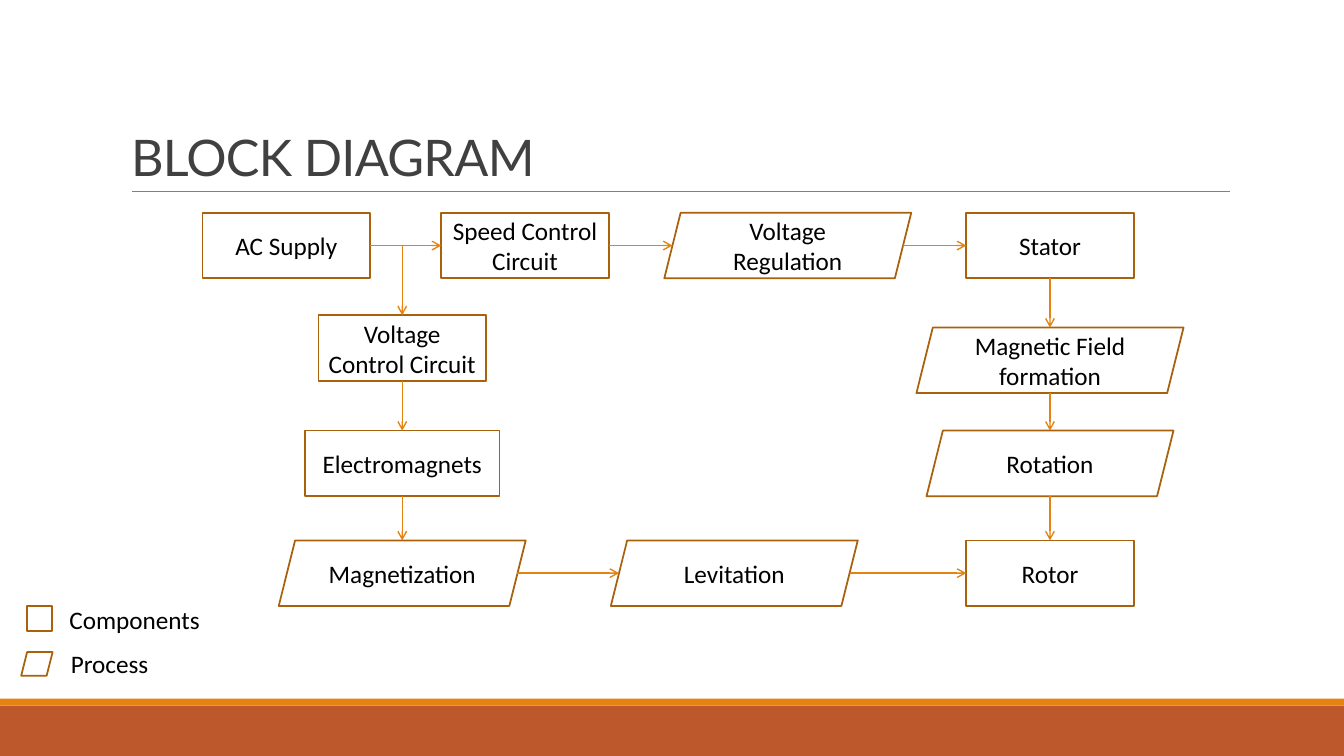
from pptx import Presentation
from pptx.dml.color import RGBColor
from pptx.enum.shapes import MSO_CONNECTOR as Conn, MSO_SHAPE as Kind
from pptx.enum.text import MSO_ANCHOR as Anchor, MSO_AUTO_SIZE as Fit, PP_ALIGN as Align
from pptx.oxml.ns import qn
from pptx.util import Pt
from lxml.etree import SubElement as sub

WHITE = RGBColor(0xFF, 0xFF, 0xFF)
BLACK = RGBColor(0, 0, 0)
DARK = RGBColor(0x40, 0x40, 0x40)
GREY = RGBColor(0x80, 0x80, 0x80)
ORANGE = RGBColor(0xE4, 0x83, 0x12)
BROWN = RGBColor(0xA9, 0x61, 0x0D)
RUST = RGBColor(0xBD, 0x58, 0x2C)

RECT, SLANT = Kind.RECTANGLE, Kind.PARALLELOGRAM
HIGH = 46.8  # height of every block
EDGE = HIGH / 8  # inset of a slanted side at mid height

# Centres of the columns and rows, inside the flow region
SUPPLY, LEFT, SPEED, LIFT, REG, RIGHT = 60.5, 143.3, 231, 380.5, 418.7, 606
TOP, VOLT, FIELD, MID, LOW = 23.4, 96.6, 105.4, 179, 257.4

BLOCKS = {
    "AC Supply": (RECT, SUPPLY, TOP, 119.6),
    "Speed Control Circuit": (RECT, SPEED, TOP, 119.6),
    "Voltage Regulation": (SLANT, REG, TOP, 176.4),
    "Stator": (RECT, RIGHT, TOP, 119.6),
    "Voltage Control Circuit": (RECT, LEFT, VOLT, 119.6),
    "Electromagnets": (RECT, LEFT, MID, 139),
    "Magnetization": (SLANT, LEFT, LOW, 176.4),
    "Levitation": (SLANT, LIFT, LOW, 176.4),
    "Magnetic Field formation": (SLANT, RIGHT, FIELD, 190.8),
    "Rotation": (SLANT, RIGHT, MID, 176.4),
    "Rotor": (RECT, RIGHT, LOW, 119.6),
}
ACROSS = [
    ("AC Supply", "Speed Control Circuit", "Voltage Regulation", "Stator"),
    ("Magnetization", "Levitation", "Rotor"),
]
DOWN = [
    ("Voltage Control Circuit", "Electromagnets", "Magnetization"),
    ("Stator", "Magnetic Field formation", "Rotation", "Rotor"),
]


def style(text, size, font, color):
    for para in text.paragraphs:
        for run in para.runs:
            run.font.size = Pt(size)
            run.font.name = font
            run.font.color.rgb = color


def draw(slide, kind, box, fill, line=None):
    shape = slide.shapes.add_shape(kind, *map(Pt, box))
    shape.shadow.inherit = False
    shape.fill.solid()
    shape.fill.fore_color.rgb = fill
    if line is None:
        shape.line.fill.background()
    else:
        shape.line.color.rgb = line
        shape.line.width = Pt(1.25)
    return shape


def link(slide, start, end, color, width, arrow=True):
    line = slide.shapes.add_connector(Conn.STRAIGHT, *map(Pt, start + end))
    line.line.color.rgb = color
    line.line.width = Pt(width)
    if arrow:
        sub(line.line._get_or_add_ln(), qn("a:tailEnd"), type="arrow")
    sub(line._element.spPr, qn("a:effectLst"))


def add_base(slide, box):
    """Draw the two colour bands along the foot of the slide."""
    x, y, w, h = box
    strip = 5
    draw(slide, RECT, (x, y + strip, w, h - strip), RUST)
    draw(slide, RECT, (x, y, w, strip), ORANGE)


def add_title(slide, box):
    x, y, w, h = box
    link(slide, (x + 8, y + h), (x + w, y + h), GREY, 0.5, arrow=False)
    title = slide.shapes.title
    title.left, title.top, title.width, title.height = map(Pt, box)
    text = title.text_frame
    text.text = "BLOCK DIAGRAM"
    text.auto_size = Fit.NONE
    text.vertical_anchor = Anchor.BOTTOM
    para = text.paragraphs[0]
    para.alignment = Align.LEFT
    para.line_spacing = 0.85
    style(text, 36, "Lato", DARK)
    para.runs[0].font._element.set("spc", "-50")


def add_flow(slide, box):
    """Draw the blocks, then the arrows along each row and column."""
    x, y = box[:2]
    for name, (kind, mid, row, wide) in BLOCKS.items():
        place = (x + mid - wide / 2, y + row - HIGH / 2, wide, HIGH)
        text = draw(slide, kind, place, WHITE, BROWN).text_frame
        text.text = name
        text.word_wrap = True
        text.margin_left = text.margin_right = Pt(6)
        text.vertical_anchor = Anchor.MIDDLE
        text.paragraphs[0].alignment = Align.CENTER
        style(text, 18, "Calibri", BLACK)

    def side(name, sign):
        kind, mid, row, wide = BLOCKS[name]
        reach = wide / 2 - (EDGE if kind == SLANT else 0)
        return x + mid + sign * reach, y + row

    def edge(name, sign):
        mid, row = BLOCKS[name][1:3]
        return x + mid, y + row + sign * HIGH / 2

    for chains, port in ((ACROSS, side), (DOWN, edge)):
        for chain in chains:
            for first, then in zip(chain, chain[1:]):
                link(slide, port(first, 1), port(then, -1), ORANGE, 1)
    branch = (x + LEFT, y + TOP)
    link(slide, branch, edge("Voltage Control Circuit", -1), ORANGE, 1)


def add_key(slide, box):
    x, y, w, h = box
    step = 31.6
    marks = (
        ("Components", RECT, (4, 5, 18, 18)),
        ("Process", SLANT, (0, 6.4, 22.4, 16.8)),
    )
    for row, (name, kind, (dx, dy, wide, high)) in enumerate(marks):
        top = y + row * step
        draw(slide, kind, (x + dx, top + dy, wide, high), WHITE, BROWN)
        place = (x + 27.3 + row, top, w - 28.3, h - step)
        text = slide.shapes.add_textbox(*map(Pt, place)).text_frame
        text.text = name
        text.word_wrap = False
        style(text, 18, "Calibri", BLACK)


def main():
    deck = Presentation()
    deck.slide_width, deck.slide_height = Pt(960), Pt(540)
    slide = deck.slides.add_slide(deck.slide_layouts[5])
    add_base(slide, (0, 499, 960, 41))
    add_title(slide, (86.4, 22.3, 792, 114.5))
    add_flow(slide, (144, 152, 702, 281))
    add_key(slide, (15.2, 427.8, 137, 60.6))
    deck.save("out.pptx")


if __name__ == "__main__":
    main()
